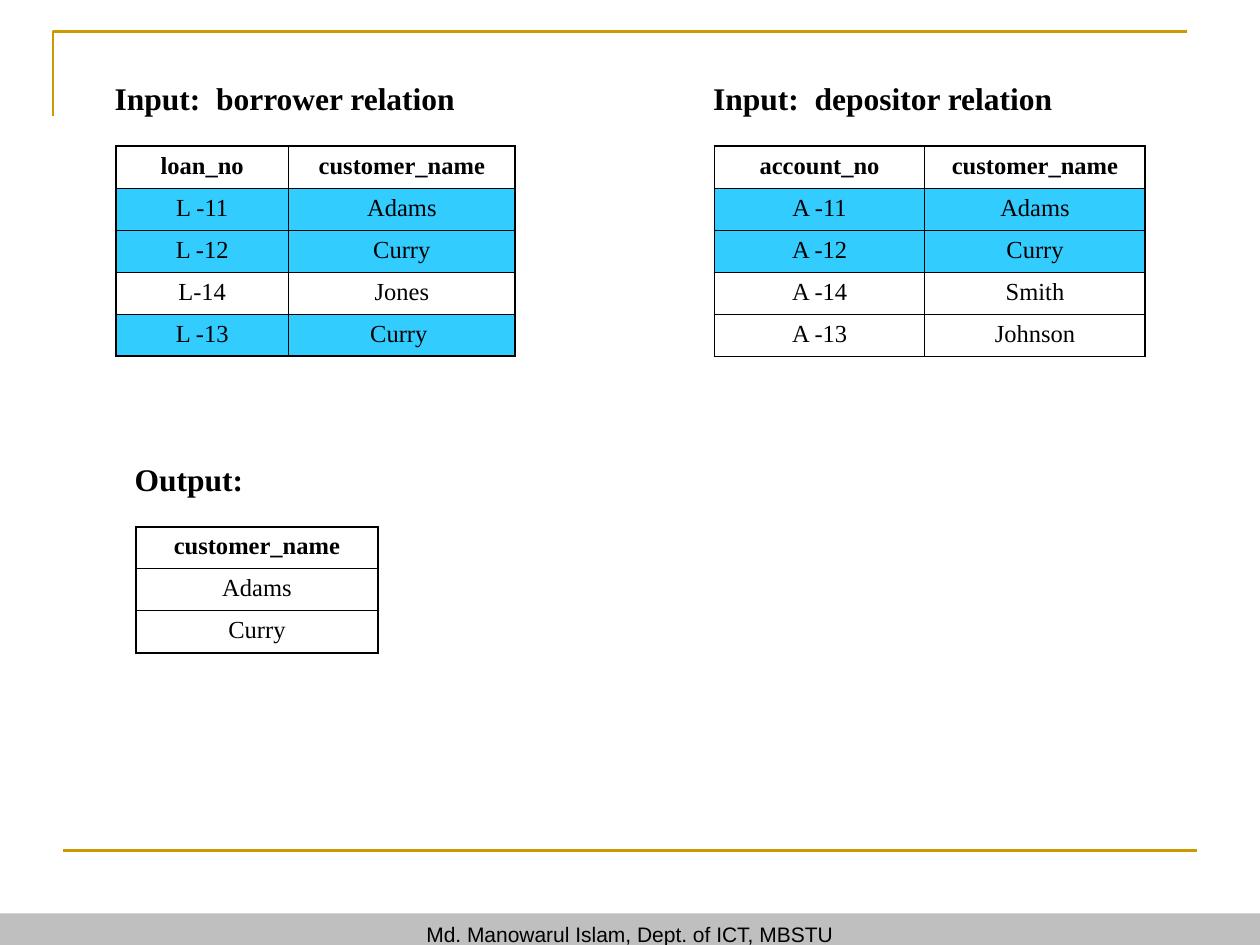
"""Build a slide that finds customers holding both a loan and an account."""
from dataclasses import dataclass

from lxml.etree import SubElement
from pptx import Presentation
from pptx.dml.color import RGBColor
from pptx.enum.shapes import MSO_CONNECTOR, MSO_SHAPE
from pptx.enum.text import MSO_ANCHOR, MSO_AUTO_SIZE, PP_ALIGN
from pptx.oxml.ns import qn
from pptx.util import Inches, Pt

BLACK = "000000"
GOLD = "CC9900"
GRAY = "BFBFBF"
MATCH_BLUE = "33CCFF"
SERIF = "Times New Roman"
ROW_HEIGHT = Inches(1 / 3)
HEADING_RISE = 0.58
HEADING_OUTDENT = 0.17
OUTER_LINE = 1.08
INNER_LINE = 0.45


@dataclass(frozen=True)
class Relation:
    heading: str
    heading_width: float
    left: float
    top: float
    column_widths: tuple[float, ...]
    rows: tuple[tuple[str, ...], ...]
    matches: tuple[int, ...] = ()


RELATIONS = (
    Relation("Input:  borrower relation", 3.17, 0.92, 1.16, (1.37, 1.8),
             (("loan_no", "customer_name"), ("L -11", "Adams"), ("L -12", "Curry"),
              ("L-14", "Jones"), ("L -13", "Curry ")), (1, 2, 4)),
    Relation("Input:  depositor relation", 3.67, 5.67, 1.16, (1.67, 1.75),
             (("account_no", "customer_name"), ("A -11", "Adams"), ("A -12", "Curry"),
              ("A -14", "Smith"), ("A -13", "Johnson")), (1, 2)),
    Relation("Output:", 3.17, 1.08, 4.18, (1.92,),
             (("customer_name",), ("Adams",), ("Curry",))),
)


def color(value: str) -> RGBColor:
    return RGBColor.from_string(value)


def set_text(text_frame, text: str, size: float, font_name: str = SERIF,
             bold: bool = False, align=PP_ALIGN.CENTER, space_before: float = 0) -> None:
    text_frame.text = text
    paragraph = text_frame.paragraphs[0]
    paragraph.alignment = align
    paragraph.space_before = Pt(space_before)
    font = paragraph.runs[0].font
    font.name, font.size, font.bold = font_name, Pt(size), bold
    font.color.rgb = color(BLACK)


def add_frame(slide) -> None:
    builder = slide.shapes.build_freeform(Inches(0.42), Inches(0.92))
    builder.add_line_segments(
        [(Inches(0.42), Inches(0.25)), (Inches(9.42), Inches(0.25))], close=False)
    corner = builder.convert_to_shape()
    corner.shadow.inherit = False
    corner.fill.background()
    rule = slide.shapes.add_connector(
        MSO_CONNECTOR.STRAIGHT, Inches(0.5), Inches(6.75), Inches(9.5), Inches(6.75))
    SubElement(rule.line._get_or_add_ln().getparent(), qn("a:effectLst"))
    for shape in (corner, rule):
        shape.line.color.rgb = color(GOLD)
        shape.line.width = Pt(1.5)


def add_footer(slide, text: str) -> None:
    footer = slide.shapes.add_shape(
        MSO_SHAPE.RECTANGLE, 0, Inches(7.25), Inches(10), Inches(0.33))
    footer.shadow.inherit = False
    footer.fill.solid()
    footer.fill.fore_color.rgb = color(GRAY)
    footer.line.fill.background()
    footer.text_frame.vertical_anchor = MSO_ANCHOR.MIDDLE
    set_text(footer.text_frame, text, 12, "Arial")


def add_heading(slide, relation: Relation) -> None:
    box = slide.shapes.add_textbox(
        Inches(relation.left - HEADING_OUTDENT), Inches(relation.top - HEADING_RISE),
        Inches(relation.heading_width), Inches(0.4))
    text_frame = box.text_frame
    text_frame.word_wrap = True
    text_frame.auto_size = MSO_AUTO_SIZE.SHAPE_TO_FIT_TEXT
    text_frame.margin_left = Inches(0.16)
    set_text(text_frame, relation.heading, 18, bold=True,
             align=PP_ALIGN.LEFT, space_before=11.2)


def set_borders(cell, outer_sides: dict[str, bool]) -> None:
    properties = cell._tc.get_or_add_tcPr()
    for side, is_outer in outer_sides.items():
        width = Pt(OUTER_LINE if is_outer else INNER_LINE)
        line = SubElement(properties, qn(f"a:ln{side}"), w=str(int(width)))
        fill = SubElement(line, qn("a:solidFill"))
        SubElement(fill, qn("a:srgbClr"), val=BLACK)


def add_relation_table(slide, relation: Relation) -> None:
    row_count, column_count = len(relation.rows), len(relation.column_widths)
    table = slide.shapes.add_table(
        row_count, column_count, Inches(relation.left), Inches(relation.top),
        Inches(sum(relation.column_widths)), ROW_HEIGHT * row_count).table
    table.first_row = table.horz_banding = False
    for column, width in zip(table.columns, relation.column_widths):
        column.width = Inches(width)
    for row_index, values in enumerate(relation.rows):
        table.rows[row_index].height = ROW_HEIGHT
        for column_index, value in enumerate(values):
            cell = table.cell(row_index, column_index)
            set_text(cell.text_frame, value, 14, bold=row_index == 0, space_before=3.5)
            set_borders(cell, {"L": column_index == 0, "R": column_index == column_count - 1,
                               "T": row_index == 0, "B": row_index == row_count - 1})
            if row_index in relation.matches:
                cell.fill.solid()
                cell.fill.fore_color.rgb = color(MATCH_BLUE)
            else:
                cell.fill.background()


def main() -> None:
    presentation = Presentation()
    presentation.slide_width, presentation.slide_height = Inches(10), Inches(7.5)
    slide = presentation.slides.add_slide(presentation.slide_layouts[6])
    add_frame(slide)
    add_footer(slide, "Md. Manowarul Islam, Dept. of ICT, MBSTU")
    for relation in RELATIONS:
        add_relation_table(slide, relation)
        add_heading(slide, relation)
    presentation.save("out.pptx")


main()
